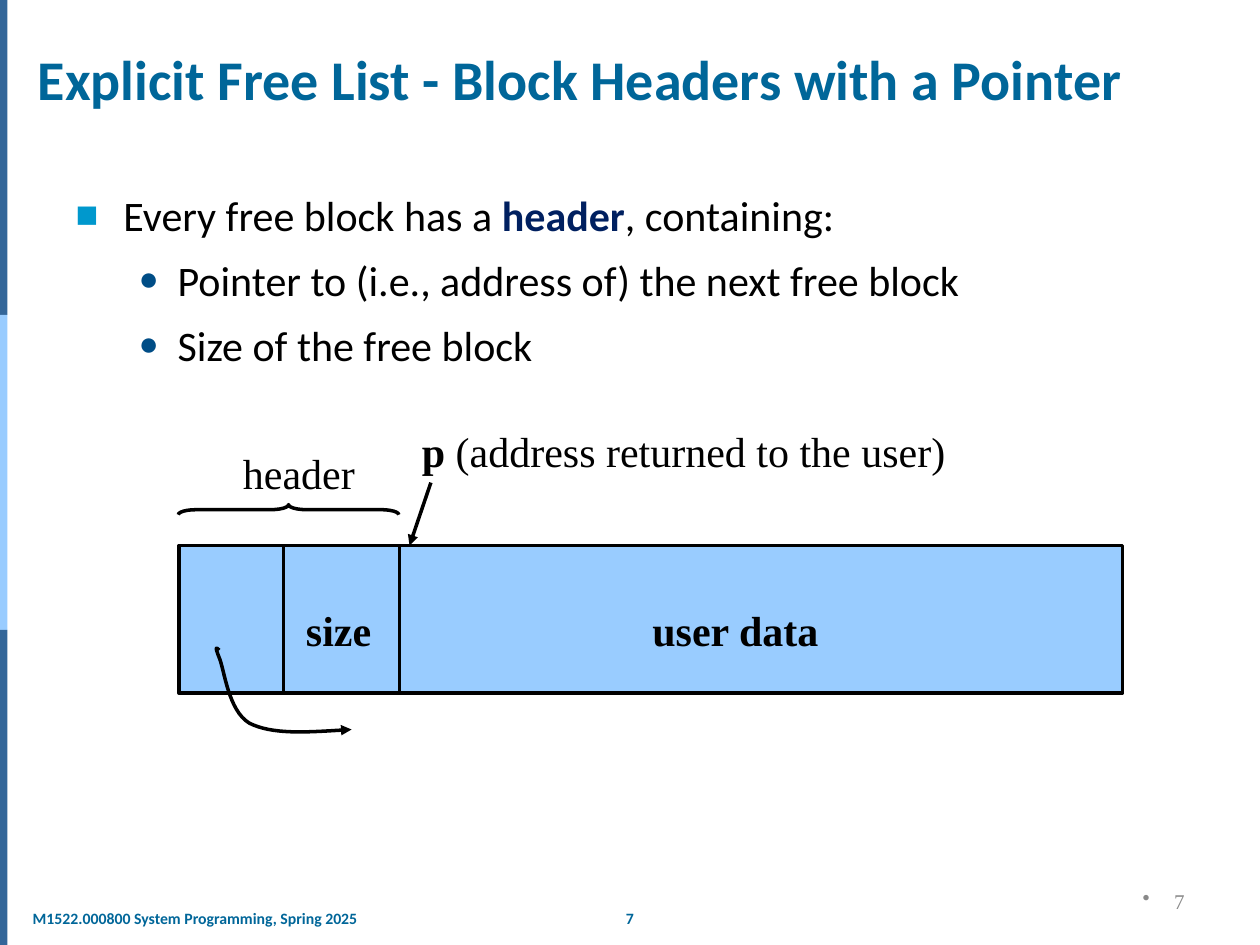
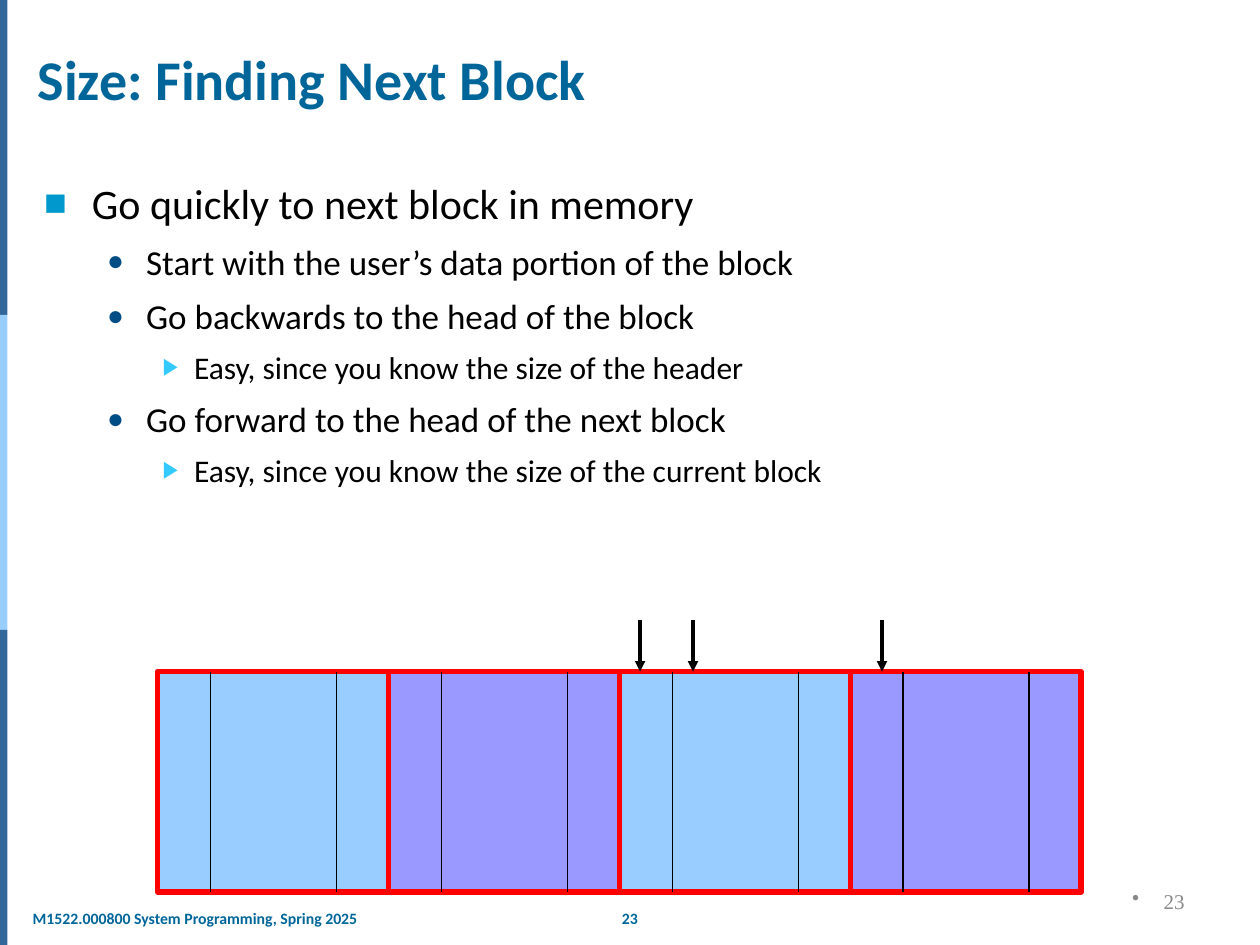
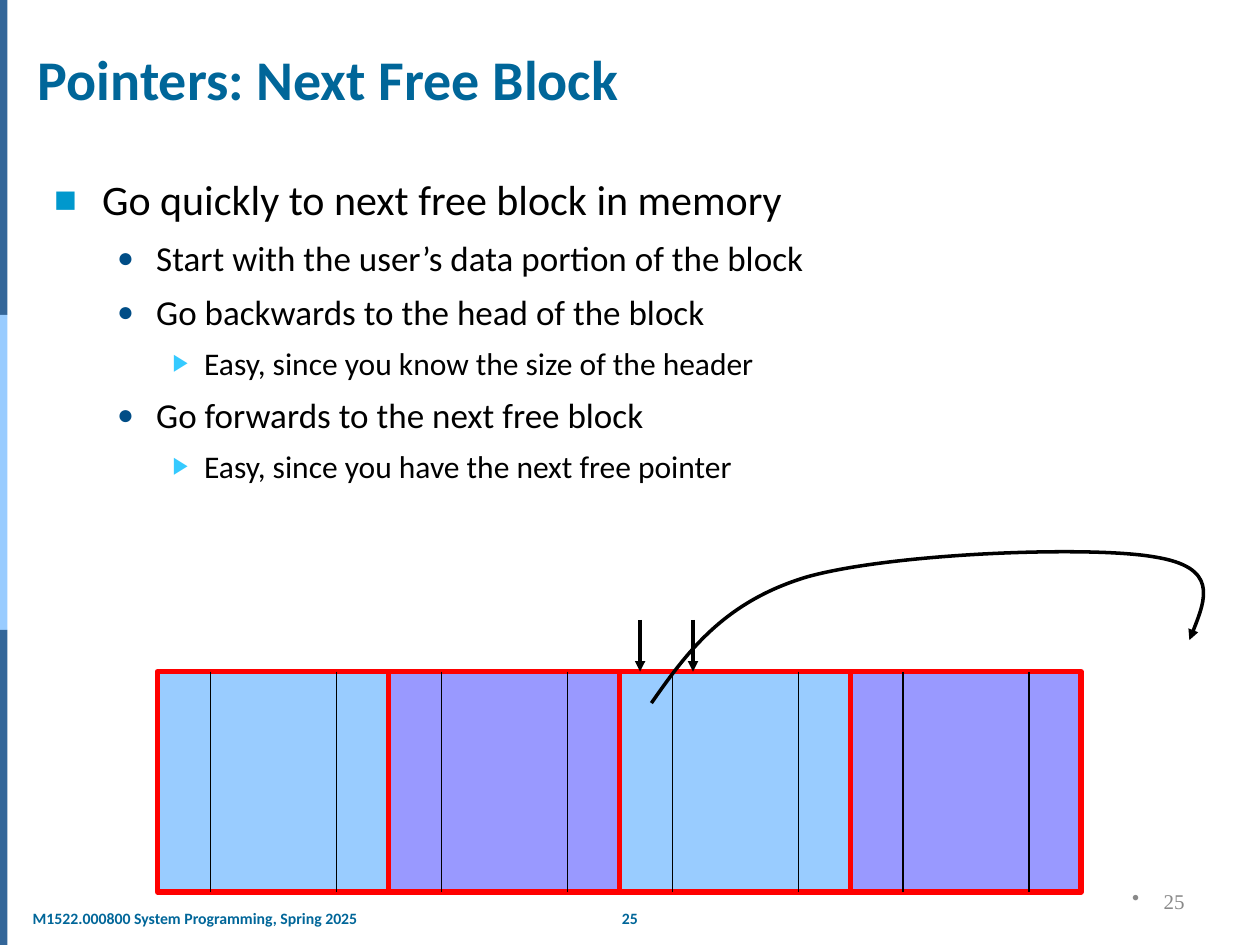
from dataclasses import dataclass

from lxml import etree
from pptx import Presentation
from pptx import util as u
from pptx.dml.color import RGBColor
from pptx.enum import shapes, text
from pptx.oxml.ns import qn

WHITE = RGBColor(0xFF, 0xFF, 0xFF)
BLACK = RGBColor(0, 0, 0)
TEAL = RGBColor(0x00, 0x66, 0x99)
NAVY = RGBColor(0x00, 0x20, 0x60)
STEEL = RGBColor(0x33, 0x66, 0x99)
SKY = RGBColor(0x99, 0xCC, 0xFF)
VIOLET = RGBColor(0x99, 0x99, 0xFF)
RED = RGBColor(0xFF, 0, 0)
GRAY = RGBColor(0x89, 0x89, 0x89)

SANS = "Calibri"
SERIF = "Times New Roman"
COURSE = "M1522.000800 System Programming, Spring 2025"


@dataclass(frozen=True)
class Place:
    left: float
    top: float
    width: float
    height: float

    def lengths(self) -> list:
        return [u.Inches(n) for n in (self.left, self.top, self.width, self.height)]


@dataclass(frozen=True)
class Style:
    font: str
    size: float
    color: RGBColor = BLACK
    bold: bool = False


@dataclass(frozen=True)
class Span:
    words: str
    style: Style


@dataclass(frozen=True)
class Bullet:
    char: str
    margin: float
    hang: float
    color: RGBColor
    percent: int


@dataclass(frozen=True)
class Item:
    level: int
    spans: tuple


BULLETS = (
    Bullet("■", 0.38, 0.38, RGBColor(0x00, 0x98, 0xCD), 90),
    Bullet("●", 0.81, 0.31, RGBColor(0x00, 0x4D, 0x86), 80),
    Bullet("▶", 1.19, 0.25, RGBColor(0x35, 0xCA, 0xFF), 75),
)
NUMBER_BULLET = Bullet("•", 0.25, 0.25, GRAY, 100)
SPACE_BEFORE = 35

TITLE = Style(SANS, 32, TEAL, True)
FOOTER = Style(SANS, 9, TEAL, True)
NUMBER = Style(SERIF, 12, GRAY)
LABEL = Style(SERIF, 24)
BOLD_LABEL = Style(SERIF, 24, bold=True)
LARGE = Style(SANS, 24)
LIST_STYLES = (LARGE, Style(SANS, 20), Style(SANS, 18))

BLOCKS = Place(1.25, 5.33, 7.33, 1.75)
BLOCK_COLORS = (SKY, VIOLET, SKY, VIOLET)
BLOCK_WIDTH = BLOCKS.width / len(BLOCK_COLORS)
DIVIDER_OFFSETS = (0.42, 1.42)
ARROW_TOP = 4.92


def format_span(span, style: Style) -> None:
    span.font.name = style.font
    span.font.size = u.Pt(style.size)
    span.font.bold = style.bold
    span.font.color.rgb = style.color


def write(para, spans: tuple) -> None:
    for part in spans:
        span = para.add_run()
        span.text = part.words
        format_span(span, part.style)


def set_bullet(para, bullet: Bullet, space_before: int = 0) -> None:
    props = para._p.get_or_add_pPr()
    props.set("marL", str(u.Inches(bullet.margin)))
    props.set("indent", str(-u.Inches(bullet.hang)))
    space = etree.SubElement(props, qn("a:spcBef"))
    etree.SubElement(space, qn("a:spcPct"), val=str(space_before * 1000))
    color = etree.SubElement(props, qn("a:buClr"))
    etree.SubElement(color, qn("a:srgbClr"), val=str(bullet.color))
    etree.SubElement(props, qn("a:buSzPct"), val=str(bullet.percent * 1000))
    etree.SubElement(props, qn("a:buChar"), char=bullet.char)


def place_shape(shape, place: Place) -> None:
    shape.left, shape.top, shape.width, shape.height = place.lengths()


def add_label(page, place: Place, *spans: Span):
    box = page.shapes.add_textbox(*place.lengths())
    box.text_frame.word_wrap = False
    box.text_frame.auto_size = text.MSO_AUTO_SIZE.SHAPE_TO_FIT_TEXT
    write(box.text_frame.paragraphs[0], spans)
    return box


def add_rect(page, place: Place, fill: RGBColor, line: RGBColor | None = None, weight: float = 2) -> None:
    rect = page.shapes.add_shape(shapes.MSO_SHAPE.RECTANGLE, *place.lengths())
    rect.shadow.inherit = False
    rect.fill.solid()
    rect.fill.fore_color.rgb = fill
    if line is None:
        rect.line.fill.background()
    else:
        set_line(rect, line, weight)


def set_line(shape, color: RGBColor, weight: float, arrow: bool = False) -> None:
    shape.line.color.rgb = color
    shape.line.width = u.Pt(weight)
    if arrow:
        line = shape._element.spPr.find(qn("a:ln"))
        etree.SubElement(line, qn("a:tailEnd"), type="triangle")


def add_line(page, start: tuple, end: tuple, weight: float = 2, arrow: bool = False) -> None:
    ends = [u.Inches(n) for n in (*start, *end)]
    line = page.shapes.add_connector(shapes.MSO_CONNECTOR.STRAIGHT, *ends)
    set_line(line, BLACK, weight, arrow)
    etree.SubElement(line._element.spPr, qn("a:effectLst"))


def add_curved_arrow(page, start: tuple, controls: list) -> None:
    points = [(u.Inches(x), u.Inches(y)) for x, y in controls]
    builder = page.shapes.build_freeform(u.Inches(start[0]), u.Inches(start[1]))
    builder.add_line_segments(points, close=False)
    curve = builder.convert_to_shape()
    curve.shadow.inherit = False
    curve.fill.background()
    set_line(curve, BLACK, 2, arrow=True)
    outline = next(curve._element.iter(qn("a:path")))
    segments = outline.findall(qn("a:lnTo"))
    for first in range(0, len(segments), 3):
        bend = etree.SubElement(outline, qn("a:cubicBezTo"))
        for segment in segments[first:first + 3]:
            bend.append(segment[0])
            outline.remove(segment)


def add_page(deck, title: str, number: int, body_place: Place, items: list):
    page = deck.slides.add_slide(deck.slide_layouts[1])
    page.background.fill.solid()
    page.background.fill.fore_color.rgb = WHITE
    for index, color in enumerate((STEEL, SKY, STEEL)):
        add_rect(page, Place(0, 2.5 * index, 0.06, 2.5), color)

    center = add_label(page, Place(4.82, 7.16, 0.36, 0.25), Span(str(number), FOOTER))
    center.text_frame.paragraphs[0].alignment = text.PP_ALIGN.CENTER
    course = add_label(page, Place(0.2, 7.16, 2.72, 0.25), Span(COURSE, FOOTER))
    course.text_frame.margin_left = course.text_frame.margin_right = u.Inches(0.06)

    heading = page.shapes.title
    place_shape(heading, Place(0.2, 0.31, 9.65, 0.63))
    frame = heading.text_frame
    frame.text = title
    frame.auto_size = text.MSO_AUTO_SIZE.NONE
    frame.vertical_anchor = text.MSO_ANCHOR.BOTTOM
    frame.paragraphs[0].alignment = text.PP_ALIGN.LEFT
    format_span(frame.paragraphs[0].runs[0], TITLE)

    body = page.placeholders[1]
    place_shape(body, body_place)
    frame = body.text_frame
    frame.auto_size = text.MSO_AUTO_SIZE.NONE
    for index, item in enumerate(items):
        para = frame.add_paragraph() if index else frame.paragraphs[0]
        para.level = item.level
        set_bullet(para, BULLETS[item.level], SPACE_BEFORE if index else 0)
        write(para, item.spans)

    corner = page.shapes.add_textbox(*Place(7.17, 6.95, 2.33, 0.4).lengths())
    corner.text_frame.word_wrap = True
    corner.text_frame.vertical_anchor = text.MSO_ANCHOR.MIDDLE
    para = corner.text_frame.paragraphs[0]
    para.alignment = text.PP_ALIGN.RIGHT
    set_bullet(para, NUMBER_BULLET)
    write(para, (Span(str(number), NUMBER),))
    return page


def outline_items(*entries: tuple) -> list:
    return [Item(level, (Span(words, LIST_STYLES[level]),)) for level, words in entries]


def add_memory(page, arrows: tuple) -> None:
    lefts = [BLOCKS.left + BLOCK_WIDTH * index for index in range(len(BLOCK_COLORS))]
    for left, color in zip(lefts, BLOCK_COLORS):
        add_rect(page, Place(left, BLOCKS.top, BLOCK_WIDTH, BLOCKS.height), color, RED, 3)
    for left in lefts:
        for offset in DIVIDER_OFFSETS:
            x = left + offset
            add_line(page, (x, BLOCKS.top), (x, BLOCKS.top + BLOCKS.height), 0.75)
    for x in arrows:
        add_line(page, (x, ARROW_TOP), (x, BLOCKS.top), arrow=True)


def add_header_page(deck) -> None:
    items = [
        Item(0, (
            Span("Every free block has a ", LARGE),
            Span("header", Style(SANS, 24, NAVY, True)),
            Span(", containing:", LARGE),
        )),
        Item(1, (Span("Pointer to (i.e., address of) the next free block", LARGE),)),
        Item(1, (Span("Size of the free block", LARGE),)),
    ]
    page = add_page(deck, "Explicit Free List - Block Headers with a Pointer", 7,
                    Place(0.5, 1.45, 9, 2.55), items)
    for left, width in ((2.06, 6.85), (1.42, 0.83), (2.25, 0.92)):
        add_rect(page, Place(left, 4.33, width, 1.17), SKY, BLACK)
    add_label(page, Place(2.33, 4.75, 0.72, 0.5), Span("size", BOLD_LABEL))
    add_curved_arrow(page, (1.74, 5.16), [
        (1.72, 5.14), (1.7, 5.12), (1.74, 5.22),
        (1.78, 5.31), (1.81, 5.64), (1.98, 5.74),
        (2.16, 5.83), (2.47, 5.81), (2.79, 5.79),
    ])
    add_label(page, Place(5.08, 4.75, 1.53, 0.5), Span("user data", BOLD_LABEL))
    add_line(page, (3.42, 3.83), (3.25, 4.33), arrow=True)
    add_label(page, Place(3.25, 3.33, 4.36, 0.5),
              Span("p ", BOLD_LABEL), Span("(address returned to the user)", LABEL))
    brace = page.shapes.add_shape(shapes.MSO_SHAPE.LEFT_BRACE, *Place(2.25, 3.17, 0.08, 1.75).lengths())
    brace.rotation = 90
    brace.adjustments[0] = 1.75
    brace.shadow.inherit = False
    brace.fill.background()
    set_line(brace, BLACK, 2)
    add_label(page, Place(1.83, 3.5, 1.09, 0.5), Span("header", LABEL))


def add_size_page(deck) -> None:
    items = outline_items(
        (0, "Go quickly to next block in memory"),
        (1, "Start with the user’s data portion of the block"),
        (1, "Go backwards to the head of the block"),
        (2, "Easy, since you know the size of the header"),
        (1, "Go forward to the head of the next block"),
        (2, "Easy, since you know the size of the current block"),
    )
    page = add_page(deck, "Size: Finding Next Block", 23, Place(0.25, 1.36, 9.25, 3.35), items)
    add_memory(page, (5.5, 5.08, 7))


def add_pointer_page(deck) -> None:
    items = outline_items(
        (0, "Go quickly to next free block in memory"),
        (1, "Start with the user’s data portion of the block"),
        (1, "Go backwards to the head of the block"),
        (2, "Easy, since you know the size of the header"),
        (1, "Go forwards to the next free block"),
        (2, "Easy, since you have the next free pointer"),
    )
    page = add_page(deck, "Pointers: Next Free Block", 25, Place(0.33, 1.33, 9.42, 3.17), items)
    add_memory(page, (5.5, 5.08))
    add_curved_arrow(page, (5.17, 5.58), [
        (5.45, 5.18), (5.74, 4.78), (6.4, 4.58),
        (7.07, 4.39), (8.65, 4.33), (9.16, 4.42),
        (9.67, 4.5), (9.56, 4.79), (9.44, 5.08),
    ])


def main() -> None:
    deck = Presentation()
    deck.slide_width = u.Inches(10)
    deck.slide_height = u.Inches(7.5)
    add_header_page(deck)
    add_size_page(deck)
    add_pointer_page(deck)
    deck.save("out.pptx")


if __name__ == "__main__":
    main()
